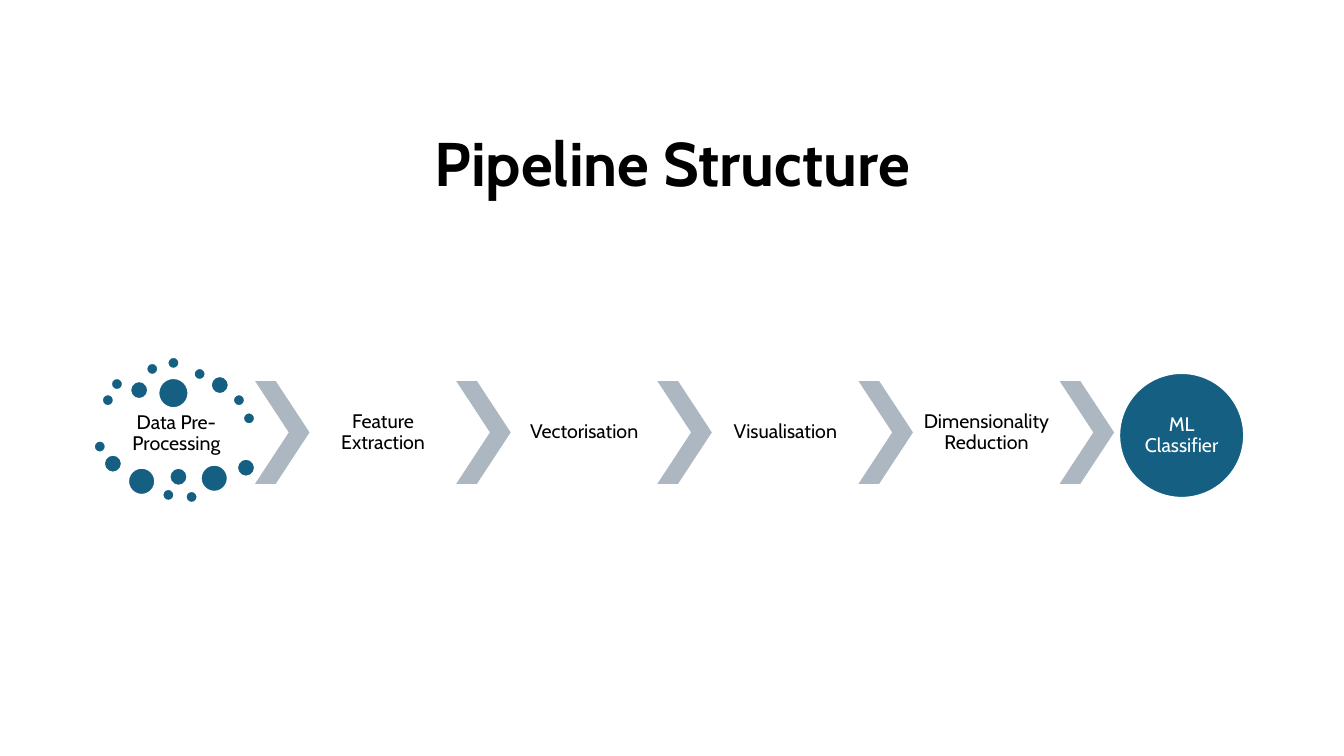
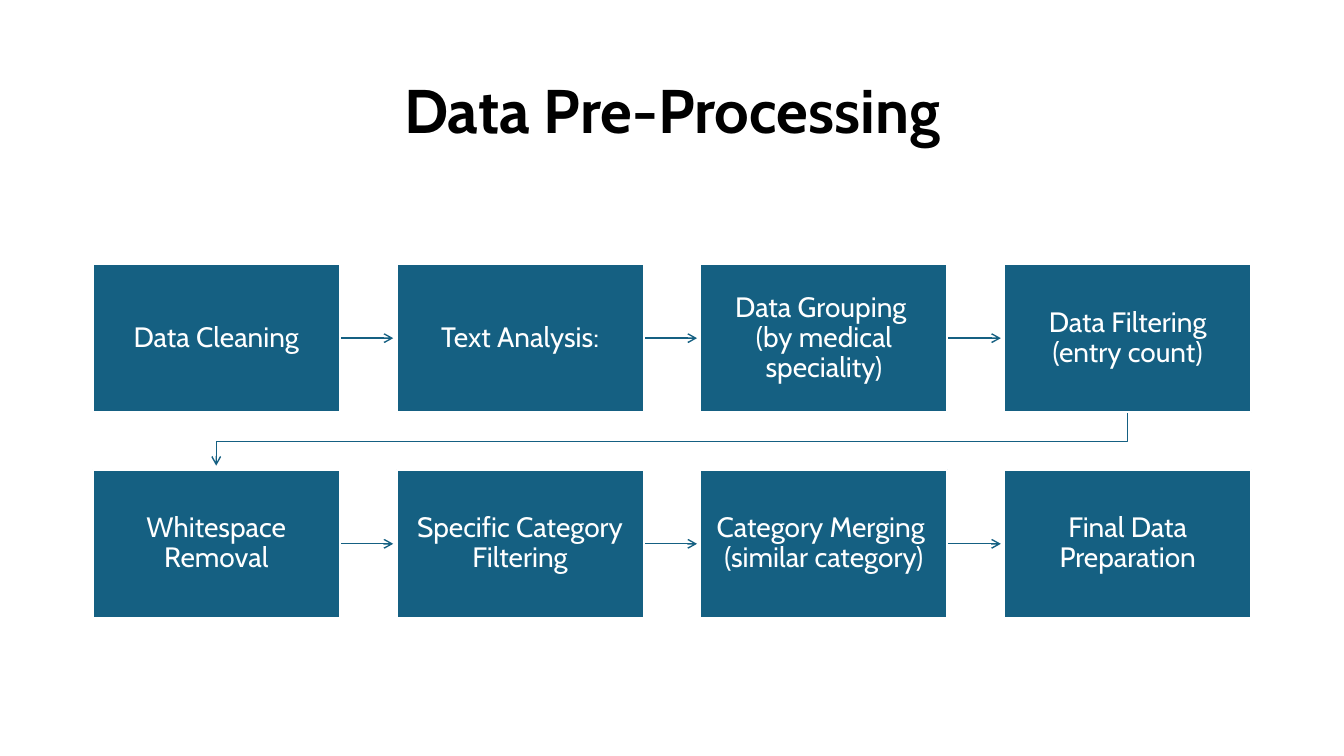
import dataclasses
import typing

import lxml.etree
import pptx
import pptx.dml.color
import pptx.enum.shapes
import pptx.enum.text
import pptx.oxml.ns
import pptx.util

Inches = pptx.util.Inches
Shape = pptx.enum.shapes.MSO_SHAPE

FONT = "Cabin"
BLACK = "000000"
WHITE = "FFFFFF"
BLUE = "156082"
GRAY = "ACB7C1"


@dataclasses.dataclass(frozen=True)
class Area:
    left: float
    top: float
    width: float
    height: float

    def lengths(self) -> tuple:
        return tuple(Inches(value) for value in dataclasses.astuple(self))


@dataclasses.dataclass(frozen=True)
class Dot:
    left: float
    top: float
    size: float


SMALL, MEDIUM, LARGE, LARGEST = 0.12, 0.18, 0.27, 0.3
DOTS = [
    Dot(1.01, 3.91, SMALL),
    Dot(1.1, 3.75, SMALL),
    Dot(1.29, 3.78, MEDIUM),
    Dot(1.45, 3.6, SMALL),
    Dot(1.66, 3.54, SMALL),
    Dot(1.92, 3.65, SMALL),
    Dot(2.09, 3.73, MEDIUM),
    Dot(2.31, 3.91, SMALL),
    Dot(2.41, 4.09, SMALL),
    Dot(1.57, 3.75, LARGEST),
    Dot(0.93, 4.37, SMALL),
    Dot(1.03, 4.51, MEDIUM),
    Dot(1.27, 4.64, LARGE),
    Dot(1.61, 4.85, SMALL),
    Dot(1.68, 4.64, MEDIUM),
    Dot(1.84, 4.87, SMALL),
    Dot(1.99, 4.61, LARGE),
    Dot(2.35, 4.55, MEDIUM),
]
STAGES = ["Feature Extraction", "Vectorisation", "Visualisation", "Dimensionality Reduction"]
STAGE_PITCH = (10.51 - 2.53) / len(STAGES)

STEPS = [
    ["Data Cleaning", "Text Analysis:", "Data Grouping \n(by medical speciality)",
     "Data Filtering\n(entry count)"],
    ["Whitespace Removal", "Specific Category Filtering",
     "Category Merging \n(similar category)", "Final Data Preparation"],
]
STEP_LEFT, STEP_WIDTH, STEP_HEIGHT = 0.92, 2.45, 1.47
STEP_PITCH = (9.96 - STEP_LEFT) / 3
ROW_TOPS = [2.62, 4.66]
ARROW_LENGTH = 0.53


def rgb(color: str) -> pptx.dml.color.RGBColor:
    return pptx.dml.color.RGBColor.from_string(color)


def write_text(shape: typing.Any, text: str, *, size: float, color: str = BLACK,
               bold: bool = False, margins: tuple = (0.1, 0.05)) -> None:
    frame = shape.text_frame
    frame.word_wrap = True
    frame.auto_size = pptx.enum.text.MSO_AUTO_SIZE.NONE
    frame.vertical_anchor = pptx.enum.text.MSO_ANCHOR.MIDDLE
    frame.margin_left = frame.margin_right = Inches(margins[0])
    frame.margin_top = frame.margin_bottom = Inches(margins[1])
    para = frame.paragraphs[0]
    para.text = text
    para.alignment = pptx.enum.text.PP_ALIGN.CENTER
    para.line_spacing = 0.9
    for span in para.runs:
        span.font.name = FONT
        span.font.size = pptx.util.Pt(size)
        span.font.bold = bold
        span.font.color.rgb = rgb(color)


def add_page(deck: typing.Any, title: str, top: float) -> typing.Any:
    page = deck.slides.add_slide(deck.slide_layouts[5])
    box = page.shapes.title
    box.left, box.top, box.width, box.height = Area(0.92, top, 11.5, 1.45).lengths()
    write_text(box, title, size=44, bold=True)
    return page


def add_filled(page: typing.Any, kind: typing.Any, area: Area, fill: str,
               outlined: bool = True) -> typing.Any:
    shape = page.shapes.add_shape(kind, *area.lengths())
    shape.shadow.inherit = False
    shape.fill.solid()
    shape.fill.fore_color.rgb = rgb(fill)
    if outlined:
        shape.line.color.rgb = rgb(WHITE)
        shape.line.width = pptx.util.Pt(1.5)
    else:
        shape.line.fill.background()
    return shape


def add_label(page: typing.Any, text: str, area: Area) -> None:
    box = page.shapes.add_textbox(*area.lengths())
    write_text(box, text, size=14, margins=(0.02, 0.02))


def style_arrow(arrow: typing.Any) -> None:
    arrow.line.color.rgb = rgb(BLUE)
    arrow.line.width = pptx.util.Pt(1)
    qn = pptx.oxml.ns.qn
    properties = arrow.element.spPr
    lxml.etree.SubElement(properties.find(qn("a:ln")), qn("a:tailEnd"), type="arrow")
    lxml.etree.SubElement(properties, qn("a:effectLst"))


def add_arrow(page: typing.Any, left: float, middle: float) -> typing.Any:
    arrow = page.shapes.add_connector(
        pptx.enum.shapes.MSO_CONNECTOR.STRAIGHT,
        Inches(left), Inches(middle), Inches(left + ARROW_LENGTH), Inches(middle))
    style_arrow(arrow)
    return arrow


def add_return_arrow(page: typing.Any) -> None:
    first = STEP_LEFT + STEP_WIDTH / 2
    last = first + 3 * STEP_PITCH
    top = ROW_TOPS[0] + STEP_HEIGHT
    turn = 4.38
    points = [(last, turn), (first, turn), (first, top + ARROW_LENGTH)]
    builder = page.shapes.build_freeform(Inches(last), Inches(top))
    builder.add_line_segments([(Inches(x), Inches(y)) for x, y in points], close=False)
    arrow = builder.convert_to_shape()
    arrow.fill.background()
    style_arrow(arrow)


def build_pipeline(deck: typing.Any) -> None:
    page = add_page(deck, "Pipeline Structure", 0.93)
    add_label(page, "Data Pre-Processing", Area(1.02, 4.06, 1.46, 0.48))
    for dot in DOTS:
        add_filled(page, Shape.OVAL, Area(dot.left, dot.top, dot.size, dot.size), BLUE)
    for index in range(len(STAGES) + 1):
        left = 2.53 + index * STAGE_PITCH
        chevron = add_filled(page, Shape.CHEVRON, Area(left, 3.78, 0.54, 1.02), GRAY,
                             outlined=False)
        chevron.adjustments[0] = 0.62
        if index < len(STAGES):
            add_label(page, STAGES[index], Area(left + 0.54, 3.78, 1.46, 1.02))
    classifier = add_filled(page, Shape.OVAL, Area(11.1, 3.7, 1.24, 1.24), BLUE)
    write_text(classifier, "ML Classifier", size=14, color=WHITE, margins=(0, 0))


def build_preprocessing(deck: typing.Any) -> None:
    page = add_page(deck, "Data Pre-Processing", 0.4)
    add_return_arrow(page)
    for top, row in zip(ROW_TOPS, STEPS):
        for column, text in enumerate(row):
            left = STEP_LEFT + column * STEP_PITCH
            arrow = None
            if column < len(row) - 1:
                arrow = add_arrow(page, left + STEP_WIDTH, top + STEP_HEIGHT / 2)
            box = add_filled(page, Shape.RECTANGLE,
                             Area(left, top, STEP_WIDTH, STEP_HEIGHT), BLUE)
            write_text(box, text, size=20, color=WHITE, margins=(0.12, 0.13))
            if arrow is not None:
                arrow.begin_connect(box, 3)


def main() -> None:
    deck = pptx.Presentation()
    deck.slide_width = Inches(13.33)
    deck.slide_height = Inches(7.5)
    build_pipeline(deck)
    build_preprocessing(deck)
    deck.save("out.pptx")


if __name__ == "__main__":
    main()
